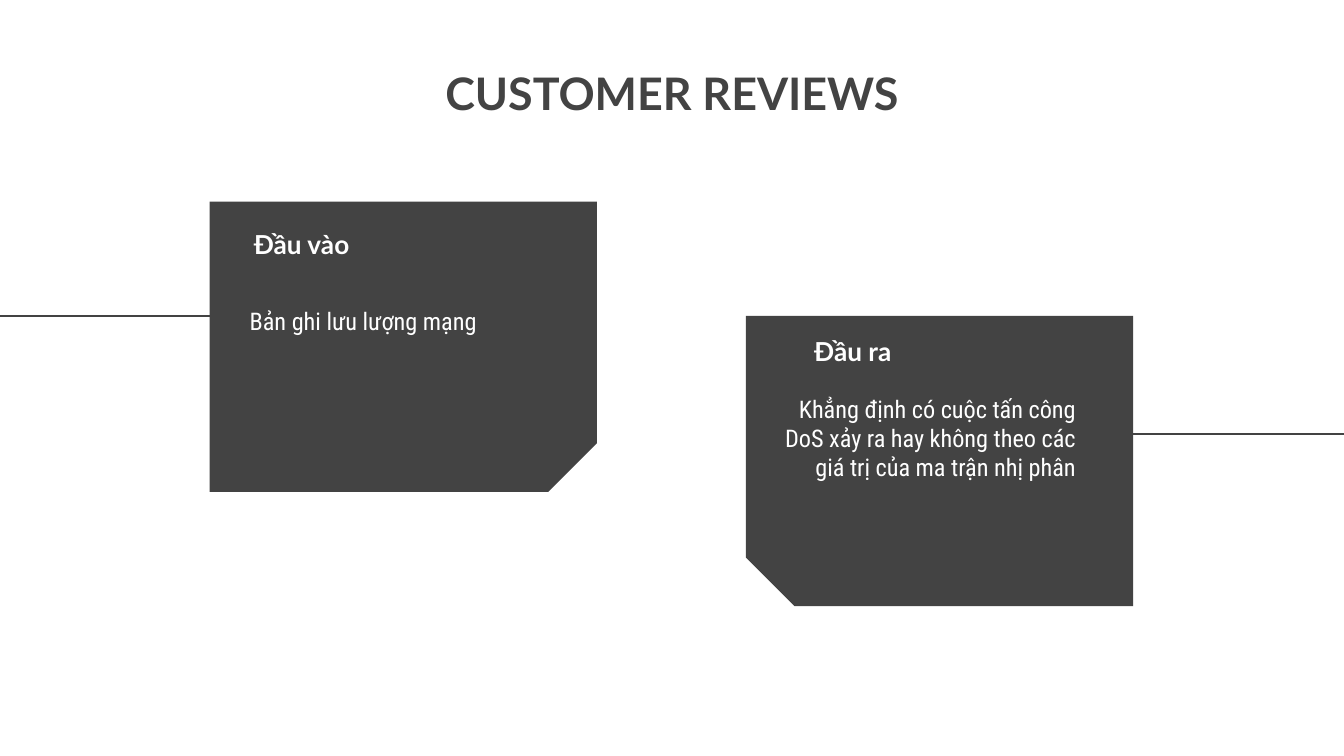
"""Build a slide with an input card and an output card, each tied to a slide edge."""
from lxml import etree
from pptx import Presentation
from pptx import util as u
from pptx.dml.color import RGBColor
from pptx.enum import shapes, text
from pptx.oxml.ns import qn

DARK = RGBColor(0x43, 0x43, 0x43)
WHITE = RGBColor(0xFF, 0xFF, 0xFF)
HEAD_FONT, BODY_FONT = "Lato", "Roboto Condensed"
LEFT, RIGHT, CENTER = text.PP_ALIGN.LEFT, text.PP_ALIGN.RIGHT, text.PP_ALIGN.CENTER
TOP, BOTTOM = text.MSO_ANCHOR.TOP, text.MSO_ANCHOR.BOTTOM

WIDTH = 10
HEIGHT = WIDTH * 9 / 16
CARD_W, CARD_H, SNIP = 2.88, 2.16, 0.167
TITLE = "CUSTOMER REVIEWS"
CARDS = [
    dict(corner=(1.56, 1.5), turn=90, mirrored=False, line=(0, 2.65, 2.35),
         heading="Đầu vào", heading_box=(1.79, 1.56, 1.38, 0.47),
         detail="Bản ghi lưu lượng mạng", detail_box=(1.76, 2.18, 2.36, 1.1), align=LEFT),
    dict(corner=(5.55, 2.35), turn=270, mirrored=True, line=(WIDTH, 7.31, 3.23),
         heading="Đầu ra", heading_box=(5.96, 2.36, 1.95, 0.47),
         detail="Khẳng định có cuộc tấn công DoS xảy ra hay không theo các giá trị của ma trận nhị phân",
         detail_box=(5.74, 2.83, 2.36, 1.1), align=RIGHT),
]


def write(holder, box, words, font, size, color, bold=False, align=LEFT, anchor=TOP):
    holder.left, holder.top, holder.width, holder.height = map(u.Inches, box)
    frame = holder.text_frame
    frame.word_wrap = True
    frame.auto_size = text.MSO_AUTO_SIZE.NONE
    frame.vertical_anchor = anchor
    frame.margin_left = frame.margin_right = u.Inches(0.1)
    frame.margin_top = frame.margin_bottom = u.Inches(0.1)
    frame.text = words
    paragraph = frame.paragraphs[0]
    paragraph.alignment = align
    paragraph.font.name, paragraph.font.size = font, u.Pt(size)
    paragraph.font.bold, paragraph.font.color.rgb = bold, color


def add_card(slide, corner, turn, mirrored):
    shift = (CARD_W - CARD_H) / 2
    box = (corner[0] + shift, corner[1] - shift, CARD_H, CARD_W)
    card = slide.shapes.add_shape(shapes.MSO_SHAPE.SNIP_1_RECTANGLE, *map(u.Inches, box))
    card.adjustments[0] = SNIP
    card.rotation = turn
    if mirrored:
        card._element.spPr.find(qn("a:xfrm")).set("flipH", "1")
    card.shadow.inherit = False
    card.fill.solid()
    card.fill.fore_color.rgb = DARK
    card.line.fill.background()


def add_line(slide, start, end, y):
    line = slide.shapes.add_connector(
        shapes.MSO_CONNECTOR.STRAIGHT, *map(u.Inches, (start, y, end, y)))
    line.line.color.rgb = DARK
    line.line.width = u.Pt(0.75)
    etree.SubElement(line._element.spPr, qn("a:effectLst"))


def main():
    deck = Presentation()
    deck.slide_width, deck.slide_height = u.Inches(WIDTH), u.Inches(HEIGHT)
    slide = deck.slides.add_slide(deck.slide_layouts[5])
    write(slide.shapes.title, (2.15, 0.39, 5.7, 1.03), TITLE,
          HEAD_FONT, 24, DARK, bold=True, align=CENTER)
    for card in CARDS:
        add_card(slide, card["corner"], card["turn"], card["mirrored"])
        add_line(slide, *card["line"])
        write(slide.shapes.add_textbox(0, 0, 0, 0), card["heading_box"], card["heading"],
              HEAD_FONT, 14, WHITE, bold=True, anchor=BOTTOM)
        write(slide.shapes.add_textbox(0, 0, 0, 0), card["detail_box"], card["detail"],
              BODY_FONT, 13, WHITE, align=card["align"])
    deck.save("out.pptx")


if __name__ == "__main__":
    main()
